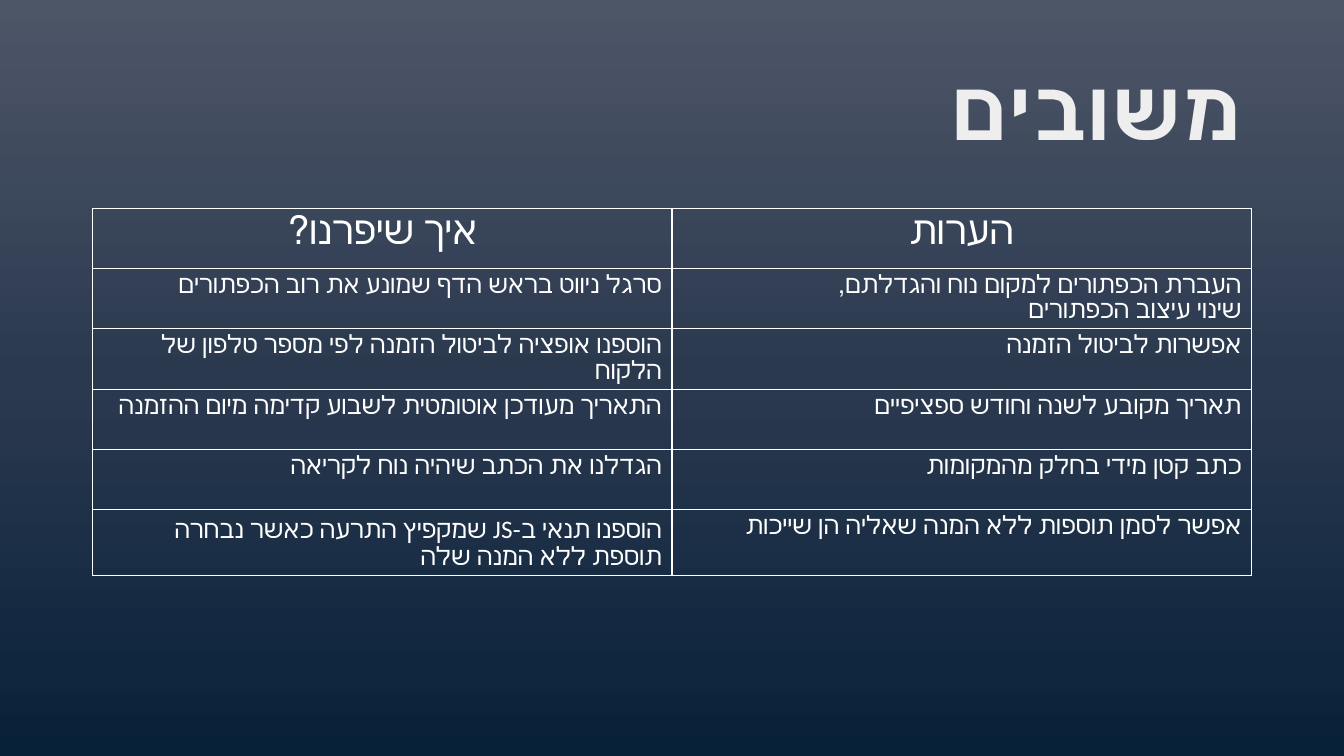
import copy

import pptx
import pptx.dml.color
import pptx.enum.text
import pptx.oxml
import pptx.oxml.ns
import pptx.util

Cm = pptx.util.Cm
Pt = pptx.util.Pt
RGBColor = pptx.dml.color.RGBColor
ALIGN = pptx.enum.text.PP_ALIGN
qn = pptx.oxml.ns.qn

WHITE = RGBColor(0xFF, 0xFF, 0xFF)
TITLE_GREY = RGBColor(0xEE, 0xEE, 0xEE)
SKY = [
    (0, RGBColor(0x4D, 0x56, 0x67)),
    (0.5, RGBColor(0x2B, 0x39, 0x4F)),
    (1, RGBColor(0x07, 0x21, 0x39)),
]
FONT = "Calibri"

HEADINGS = ("איך שיפרנו?", "הערות")
FEEDBACK = [
    ("סרגל ניווט בראש הדף שמונע את רוב הכפתורים",
     "העברת הכפתורים למקום נוח והגדלתם,\nשינוי עיצוב הכפתורים"),
    ("הוספנו אופציה לביטול הזמנה לפי מספר טלפון של הלקוח",
     "אפשרות לביטול הזמנה"),
    ("התאריך מעודכן אוטומטית לשבוע קדימה מיום ההזמנה",
     "תאריך מקובע לשנה וחודש ספציפיים"),
    ("הגדלנו את הכתב שיהיה נוח לקריאה",
     "כתב קטן מידי בחלק מהמקומות"),
    ("הוספנו תנאי ב-JS שמקפיץ התרעה כאשר נבחרה תוספת ללא המנה שלה",
     "אפשר לסמן תוספות ללא המנה שאליה הן שייכות"),
]


def write_hebrew(text_frame, text, size, color, align, bold=False):
    text_frame.text = text
    for paragraph in text_frame.paragraphs:
        paragraph.alignment = align
        paragraph._p.get_or_add_pPr().set("rtl", "1")
        for run in paragraph.runs:
            run.font.name = FONT
            run.font.size = Pt(size)
            run.font.bold = bold
            run.font.color.rgb = color


def paint_background(slide):
    fill = slide.background.fill
    fill.gradient()
    fill.gradient_angle = 270
    stop_list = slide._element.find(".//" + qn("a:gsLst"))
    stop_list.insert(1, copy.deepcopy(stop_list[0]))
    for stop, (position, color) in zip(fill.gradient_stops, SKY):
        stop.position = position
        stop.color.rgb = color


def add_title(slide, left, top, width, height):
    title = slide.shapes.title
    title.left, title.top, title.width, title.height = left, top, width, height
    write_hebrew(title.text_frame, "משובים", 60, TITLE_GREY, ALIGN.RIGHT, bold=True)
    title.text_frame.vertical_anchor = pptx.enum.text.MSO_ANCHOR.MIDDLE
    title.text_frame.paragraphs[0].line_spacing = 0.9


def outline_cell(cell):
    properties = cell._tc.get_or_add_tcPr()
    for position, side in enumerate(("lnL", "lnR", "lnT", "lnB")):
        properties.insert(position, pptx.oxml.parse_xml(
            f'<a:{side} xmlns:a="http://schemas.openxmlformats.org/drawingml/2006/main" '
            f'w="{Pt(1)}"><a:solidFill><a:srgbClr val="{WHITE}"/></a:solidFill></a:{side}>'))


def add_feedback_table(slide, left, top, width, row_height):
    rows = [HEADINGS] + FEEDBACK
    table = slide.shapes.add_table(
        len(rows), len(HEADINGS), left, top, width, row_height * len(rows)).table
    table.first_row = False
    table.horz_banding = False
    for row_index, texts in enumerate(rows):
        size, align = (18, ALIGN.RIGHT) if row_index else (28, ALIGN.CENTER)
        for column_index, text in enumerate(texts):
            cell = table.cell(row_index, column_index)
            cell.fill.background()
            outline_cell(cell)
            write_hebrew(cell.text_frame, text, size, WHITE, align)


def main():
    presentation = pptx.Presentation()
    presentation.slide_width = Cm(33.87)
    presentation.slide_height = Cm(19.05)
    slide = presentation.slides.add_slide(presentation.slide_layouts[5])
    paint_background(slide)
    add_title(slide, Cm(2.33), Cm(1.01), Cm(29.21), Cm(3.68))
    add_feedback_table(slide, Cm(2.33), Cm(5.25), Cm(29.21), Cm(1.51))
    presentation.save("out.pptx")


if __name__ == "__main__":
    main()
